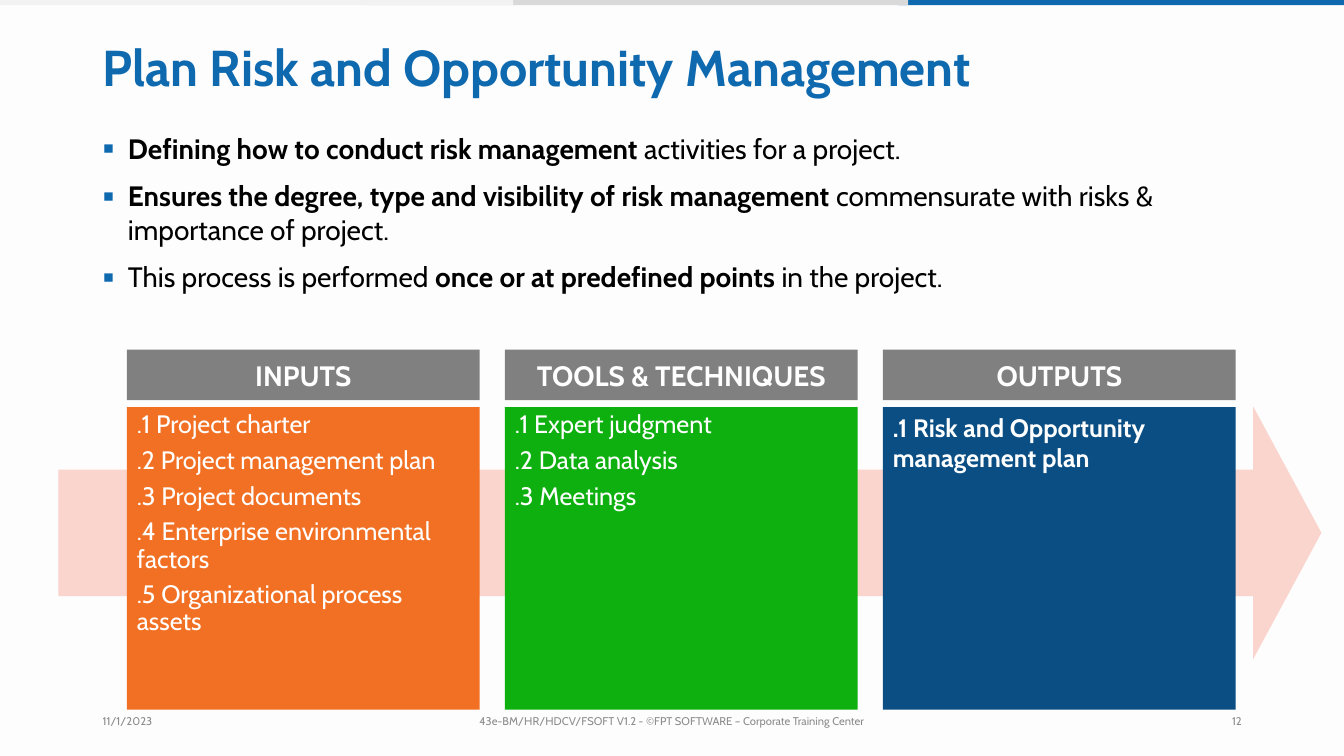
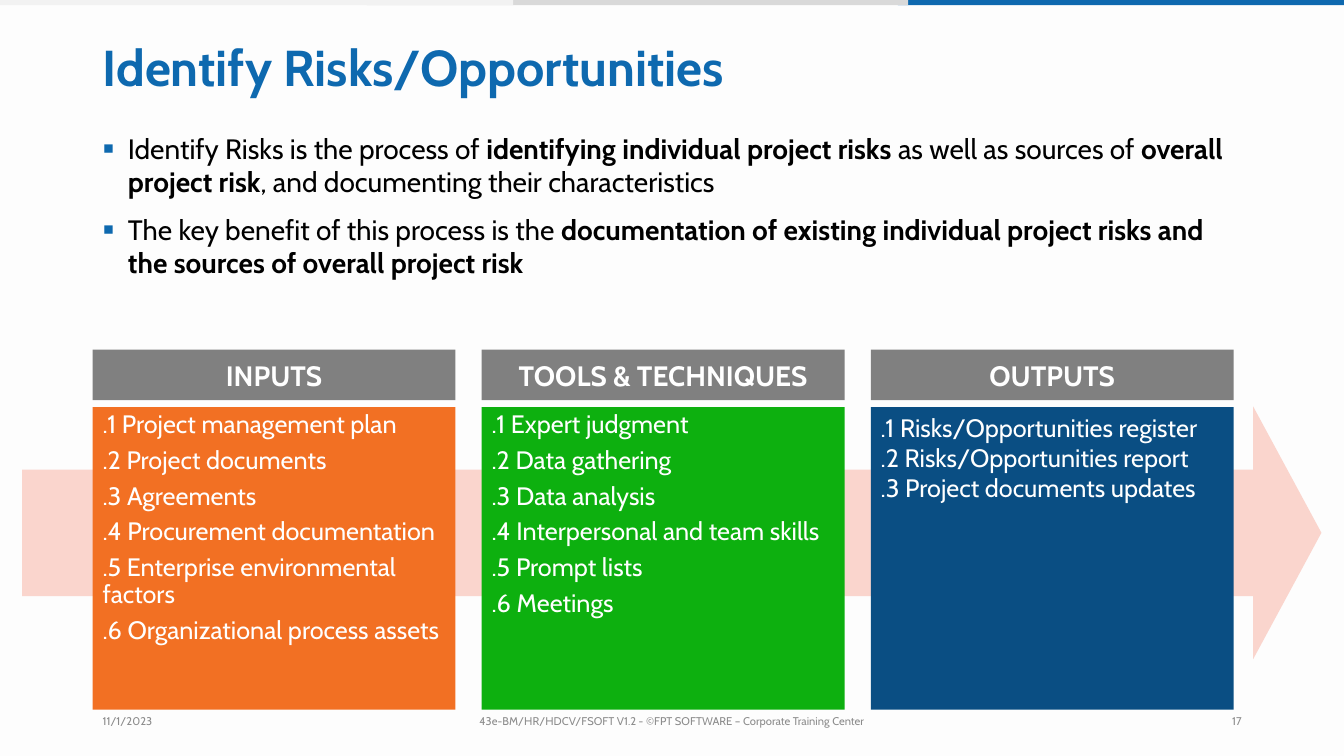
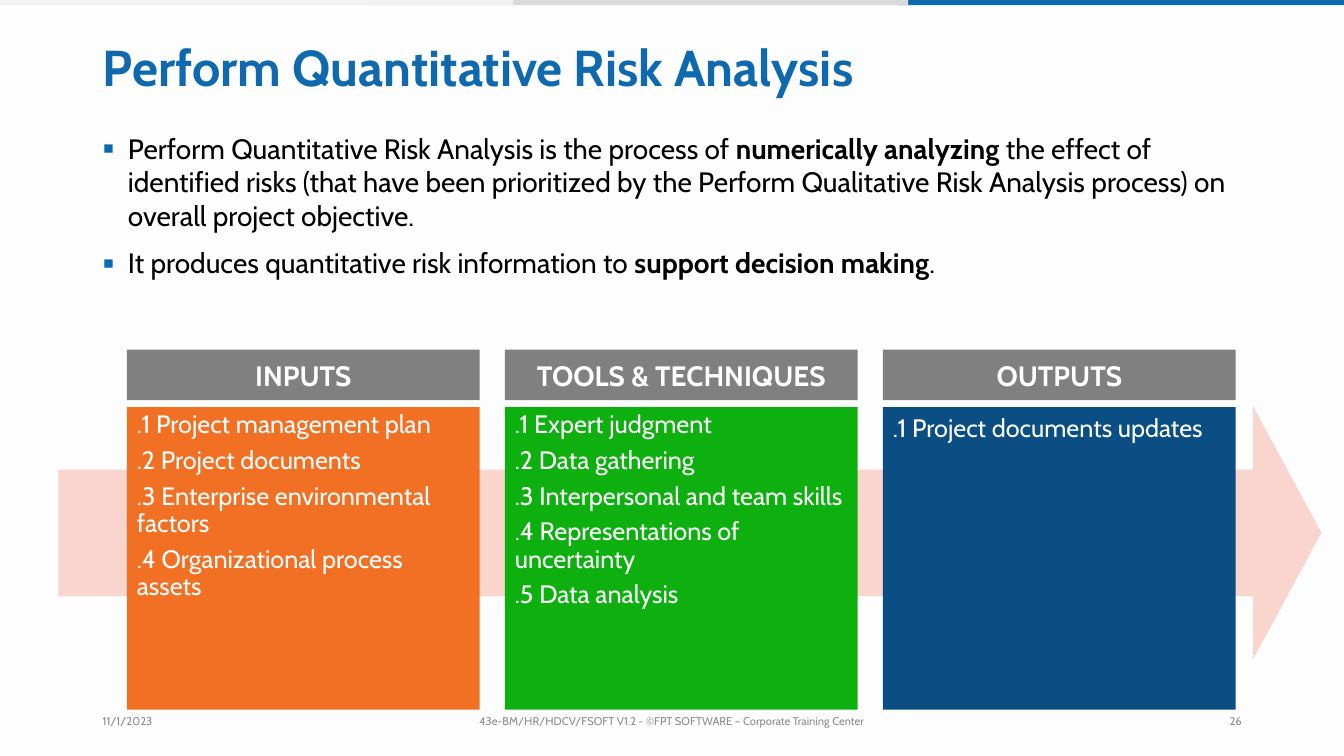
"""Build three risk-process slides with inputs, tools and outputs."""
from dataclasses import dataclass

import lxml.etree
import pptx
import pptx.dml.color
import pptx.enum.shapes
import pptx.enum.text
import pptx.oxml.ns
import pptx.util

Pt = pptx.util.Pt
ALIGN = pptx.enum.text.PP_ALIGN
ANCHOR = pptx.enum.text.MSO_ANCHOR
SHAPE = pptx.enum.shapes.MSO_SHAPE


@dataclass(frozen=True)
class Theme:
    font: str = "Cabin"
    background: str = "FDFDFD"
    accent: str = "0E69AF"
    band_mid: str = "D9D9D9"
    band_light: str = "F2F2F2"
    body: str = "000000"
    footer: str = "8C8C8C"
    white: str = "FFFFFF"
    heading: str = "808080"
    arrow: str = "FAD5CD"
    inputs: str = "F27023"
    tools: str = "0DB00F"
    outputs: str = "0A4E83"
    title_size: int = 36
    body_size: int = 20
    heading_size: int = 20
    card_size: int = 18
    footer_size: int = 8


THEME = Theme()
DATE = "11/1/2023"
FOOTER = "43e-BM/HR/HDCV/FSOFT V1.2 - ©FPT SOFTWARE – Corporate Training Center"
HEADINGS = ("INPUTS", "TOOLS & TECHNIQUES", "OUTPUTS")
CARD_FILLS = (THEME.inputs, THEME.tools, THEME.outputs)
BOLD = "**"

NARROW = {"left": 90.7, "width": 252, "pitch": 270, "arrow_left": 41.8}
WIDE = {"left": 66.2, "width": 259.2, "pitch": 277.9, "arrow_left": 15.8}
ARROW_RIGHT, ARROW_TOP, ARROW_HEIGHT = 943.9, 290.2, 180.7
HEADING_TOP, HEADING_HEIGHT = 249.8, 36
CARD_TOP, CARD_HEIGHT = 290.9, 216
BANDS = (
    (641.4, 318.6, THEME.accent),
    (262.1, 386.6, THEME.band_mid),
    (0, 366.5, THEME.band_light),
)
LAYOUT_BOXES = ((66.2, 10.8, 828, 79.2), (66.2, 90, 828, 149))

SLIDES = [
    {
        "title": "Plan Risk and Opportunity Management",
        "number": "12",
        "grid": NARROW,
        "bullets": [
            "**Defining how to conduct risk management **activities for a project.",
            "**Ensures the degree, type and visibility of risk management **"
            "commensurate with risks & importance of project.",
            "This process is performed **once or at predefined points **in the project.",
        ],
        "cards": [
            [
                ".1 Project charter",
                ".2 Project management plan",
                ".3 Project documents",
                ".4 Enterprise environmental factors",
                ".5 Organizational process assets",
            ],
            [".1 Expert judgment", ".2 Data analysis", ".3 Meetings"],
            ["**.1 Risk and Opportunity management plan**"],
        ],
    },
    {
        "title": "Identify Risks/Opportunities",
        "number": "17",
        "grid": WIDE,
        "bullets": [
            "Identify Risks is the process of **identifying individual project risks **"
            "as well as sources of **overall project risk**, "
            "and documenting their characteristics",
            "The key benefit of this process is the **documentation of existing "
            "individual project risks and the sources of overall project risk**",
        ],
        "cards": [
            [
                ".1 Project management plan",
                ".2 Project documents",
                ".3 Agreements",
                ".4 Procurement documentation",
                ".5 Enterprise environmental factors",
                ".6 Organizational process assets",
            ],
            [
                ".1 Expert judgment",
                ".2 Data gathering",
                ".3 Data analysis",
                ".4 Interpersonal and team skills",
                ".5 Prompt lists",
                ".6 Meetings",
            ],
            [
                ".1 Risks/Opportunities register",
                ".2 Risks/Opportunities report",
                ".3 Project documents updates",
            ],
        ],
    },
    {
        "title": "Perform Quantitative Risk Analysis",
        "number": "26",
        "grid": NARROW,
        "bullets": [
            "Perform Quantitative Risk Analysis is the process of "
            "**numerically analyzing **the effect of identified risks (that have been "
            "prioritized by the Perform Qualitative Risk Analysis process) "
            "on overall project objective.",
            "It produces quantitative risk information to **support decision making**.",
        ],
        "cards": [
            [
                ".1 Project management plan",
                ".2 Project documents",
                ".3 Enterprise environmental factors",
                ".4 Organizational process assets",
            ],
            [
                ".1 Expert judgment",
                ".2 Data gathering",
                ".3 Interpersonal and team skills",
                ".4 Representations of uncertainty",
                ".5 Data analysis",
            ],
            [".1 Project documents updates"],
        ],
    },
]


def rgb(color):
    return pptx.dml.color.RGBColor.from_string(color)


def add_bullet(p):
    pPr = p._p.get_or_add_pPr()
    pPr.set("marL", str(Pt(18)))
    pPr.set("indent", str(-Pt(18)))
    qn = pptx.oxml.ns.qn
    clr = lxml.etree.SubElement(pPr, qn("a:buClr"))
    lxml.etree.SubElement(clr, qn("a:srgbClr"), val=THEME.accent)
    lxml.etree.SubElement(pPr, qn("a:buSzPct"), val="120000")
    lxml.etree.SubElement(pPr, qn("a:buChar"), char="▪")


def write(tf, lines, size, color, align=ALIGN.LEFT, anchor=ANCHOR.TOP,
          bold=False, bullet=False, spacing=1.0, before=0, after=0):
    tf.word_wrap = True
    tf.auto_size = pptx.enum.text.MSO_AUTO_SIZE.NONE
    tf.vertical_anchor = anchor
    for i, line in enumerate(lines):
        p = tf.add_paragraph() if i else tf.paragraphs[0]
        if bullet:
            add_bullet(p)
        p.alignment = align
        p.line_spacing = spacing
        p.space_before = Pt(before if i else 0)
        p.space_after = Pt(after)
        for j, text in enumerate(line.split(BOLD)):
            if text:
                r = p.add_run()
                r.text = text
                r.font.name = THEME.font
                r.font.size = Pt(size)
                r.font.bold = bold or j % 2 == 1
                r.font.color.rgb = rgb(color)


def add_block(s, kind, left, top, width, height, fill):
    sp = s.shapes.add_shape(kind, Pt(left), Pt(top), Pt(width), Pt(height))
    sp.shadow.inherit = False
    sp.fill.solid()
    sp.fill.fore_color.rgb = rgb(fill)
    sp.line.fill.background()
    return sp


def add_frame(s, number):
    for left, width, fill in BANDS:
        add_block(s, SHAPE.RECTANGLE, left, 0, width, 3.6, fill)
    for left, width, text, align in (
        (66.2, 216, DATE, ALIGN.LEFT),
        (678.2, 216, number, ALIGN.RIGHT),
        (318.2, 324, FOOTER, ALIGN.CENTER),
    ):
        sp = s.shapes.add_textbox(Pt(left), Pt(500.4), Pt(width), Pt(28.8))
        write(sp.text_frame, [text], THEME.footer_size, THEME.footer,
              align, ANCHOR.MIDDLE)


def add_process(s, grid, cards):
    left = grid["arrow_left"]
    sp = add_block(s, SHAPE.RIGHT_ARROW, left, ARROW_TOP,
                   ARROW_RIGHT - left, ARROW_HEIGHT, THEME.arrow)
    sp.adjustments[0] = 0.5
    sp.adjustments[1] = 0.27
    for i, (heading, fill, lines) in enumerate(zip(HEADINGS, CARD_FILLS, cards)):
        left = grid["left"] + i * grid["pitch"]
        sp = add_block(s, SHAPE.RECTANGLE, left, CARD_TOP,
                       grid["width"], CARD_HEIGHT, fill)
        is_output = heading == "OUTPUTS"
        write(sp.text_frame, lines, THEME.card_size, THEME.white,
              spacing=1.0 if is_output else 0.9, after=0 if is_output else 6)
        sp = add_block(s, SHAPE.RECTANGLE, left, HEADING_TOP,
                       grid["width"], HEADING_HEIGHT, THEME.heading)
        write(sp.text_frame, [heading], THEME.heading_size, THEME.white,
              ALIGN.CENTER, ANCHOR.MIDDLE, bold=True)


def main():
    prs = pptx.Presentation()
    prs.slide_width, prs.slide_height = Pt(960), Pt(540)
    fill = prs.slide_master.background.fill
    fill.solid()
    fill.fore_color.rgb = rgb(THEME.background)
    layout = prs.slide_layouts[1]
    for sp, box in zip(layout.placeholders, LAYOUT_BOXES):
        sp.left, sp.top, sp.width, sp.height = map(Pt, box)
    for content in SLIDES:
        s = prs.slides.add_slide(layout)
        write(s.shapes.title.text_frame, [content["title"]], THEME.title_size,
              THEME.accent, anchor=ANCHOR.MIDDLE, bold=True, spacing=0.9)
        write(s.placeholders[1].text_frame, content["bullets"], THEME.body_size,
              THEME.body, bullet=True, before=10)
        add_frame(s, content["number"])
        add_process(s, content["grid"], content["cards"])
    prs.save("out.pptx")


if __name__ == "__main__":
    main()
